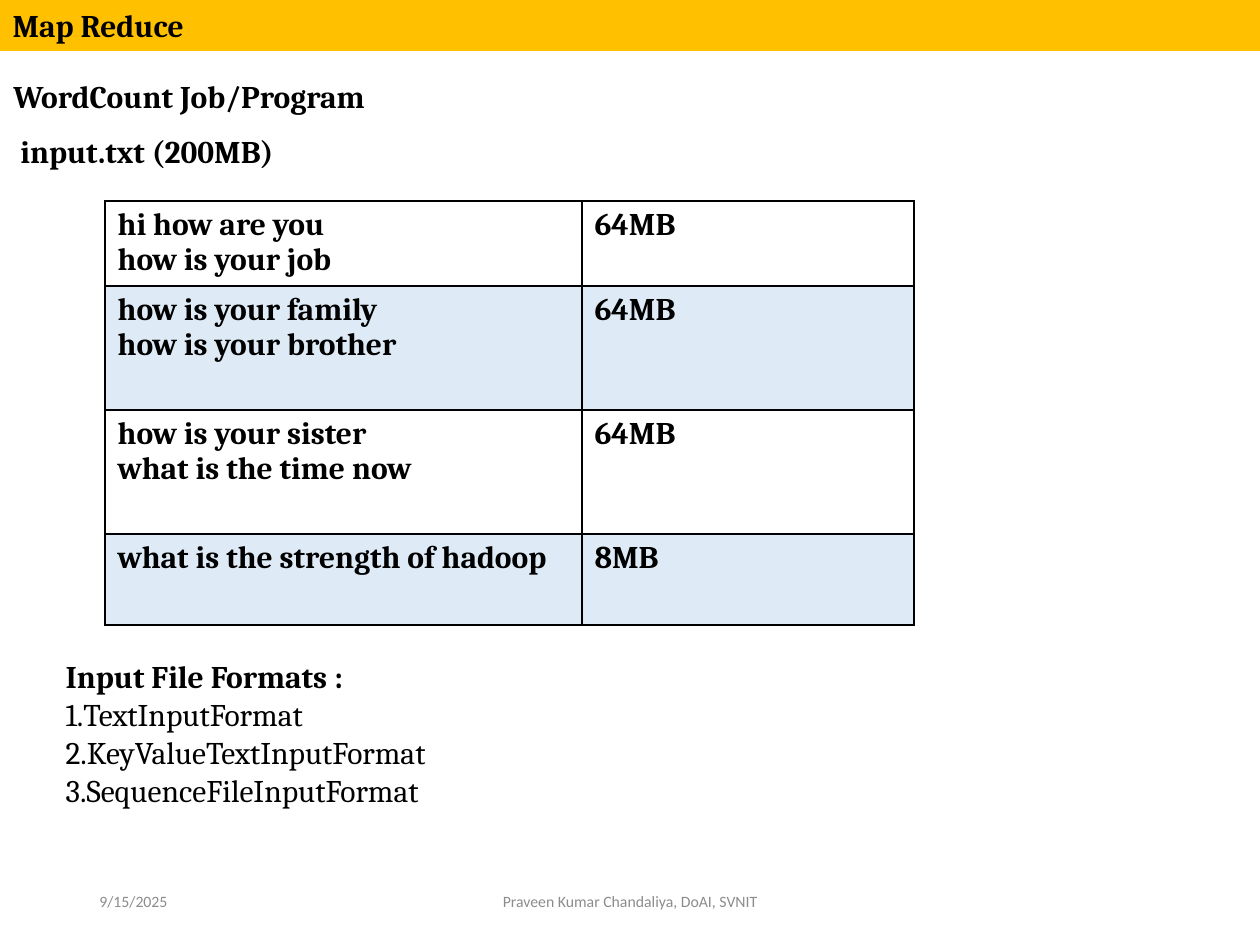
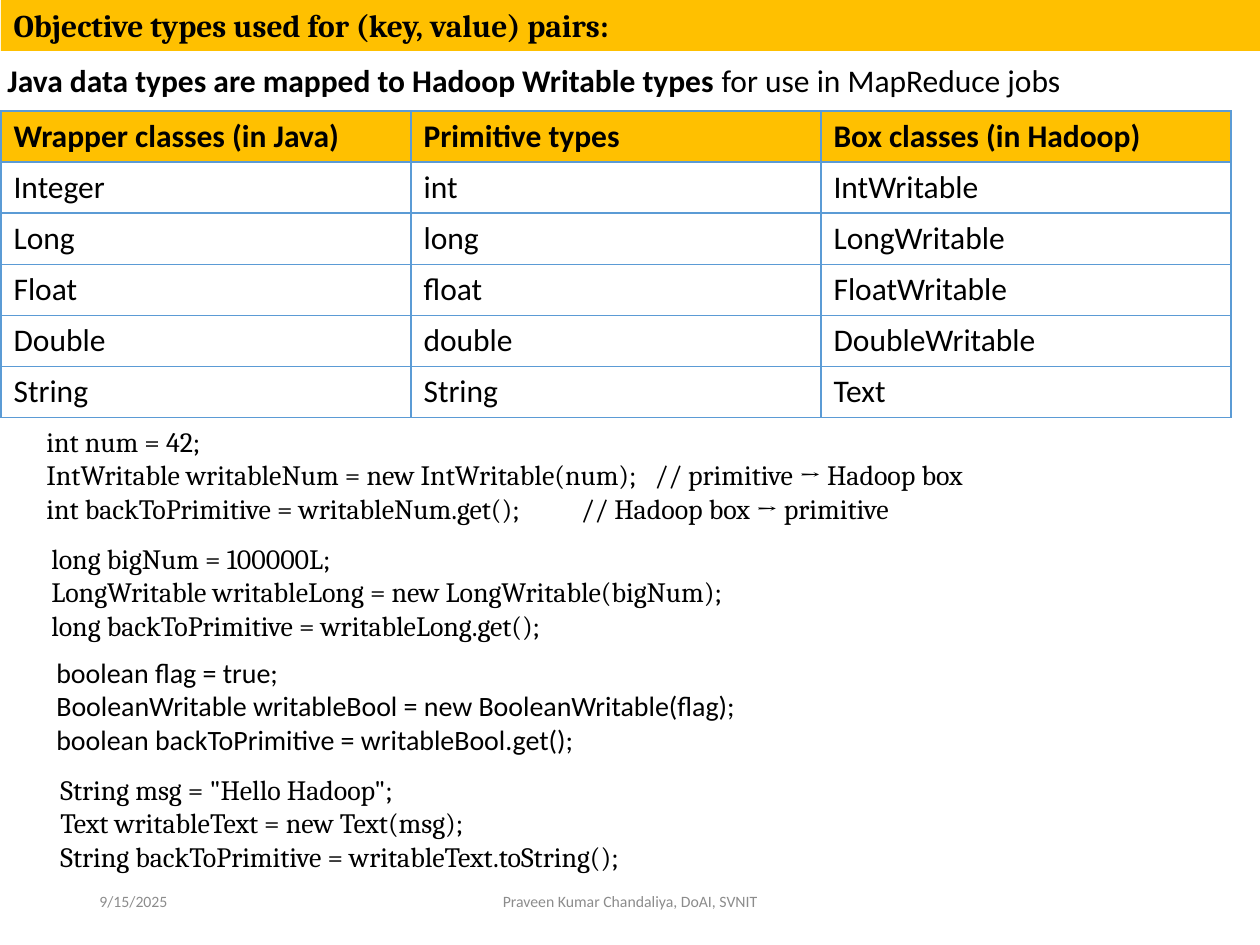
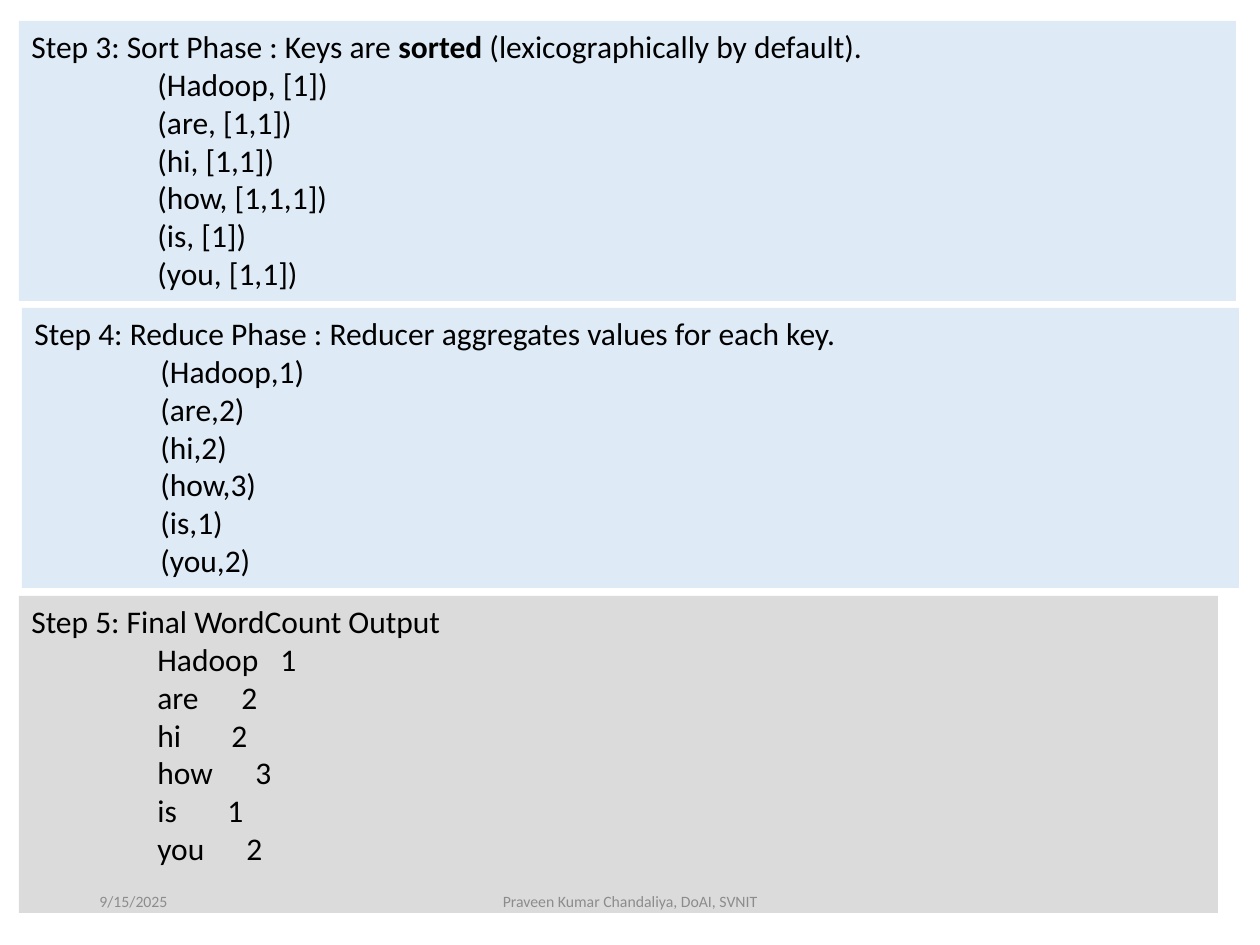
import pptx
import pptx.dml.color
import pptx.enum.shapes
import pptx.enum.text
import pptx.oxml
import pptx.oxml.ns
import pptx.util
from lxml import etree

RGB = pptx.dml.color.RGBColor
BLACK = RGB(0x00, 0x00, 0x00)
AMBER = RGB(0xFF, 0xC0, 0x00)
BLUE = RGB(0x5B, 0x9B, 0xD5)
PALE_BLUE = RGB(0xDE, 0xEB, 0xF7)
PALE_GREY = RGB(0xDB, 0xDB, 0xDB)
FOOTER_GREY = RGB(0x8C, 0x8C, 0x8C)
SERIF, SANS = "Cambria", "Calibri"
TOP = pptx.enum.text.MSO_ANCHOR.TOP
MIDDLE = pptx.enum.text.MSO_ANCHOR.MIDDLE
LEFT = pptx.enum.text.PP_ALIGN.LEFT
CENTER = pptx.enum.text.PP_ALIGN.CENTER
PX_PER_INCH = 126
TAB = 126


def px(n):
    """Turn pixels into EMU."""
    return pptx.util.Emu(n * 914400 // PX_PER_INCH)


def place(sp, box):
    """Move and size a shape to a pixel box."""
    sp.left, sp.top, sp.width, sp.height = map(px, box)


def write(tf, lines, font, size=18, bold=False, color=BLACK, align=LEFT, anchor=TOP):
    """Fill a text frame; a line is a string or a list of (text, bold) runs."""
    tf.word_wrap = True
    tf.auto_size = pptx.enum.text.MSO_AUTO_SIZE.NONE
    tf.vertical_anchor = anchor
    for i, line in enumerate(lines):
        p = tf.paragraphs[0] if i == 0 else tf.add_paragraph()
        p.alignment = align
        for text, is_bold in [(line, bold)] if isinstance(line, str) else line:
            r = p.add_run()
            r.text = text
            r.font.name = font
            r.font.size = pptx.util.Pt(size)
            r.font.bold = is_bold
            r.font.color.rgb = color


def add_text(s, box, lines, font, **style):
    """Add a text box."""
    sp = s.shapes.add_textbox(*map(px, box))
    write(sp.text_frame, lines, font, **style)


def add_title(s, text, left=0):
    """Turn the title placeholder into the amber band."""
    sp = s.shapes.title
    place(sp, (left, 0, 1260, 51))
    sp.fill.solid()
    sp.fill.fore_color.rgb = AMBER
    write(sp.text_frame, [text], SERIF, bold=True)


def add_numbered_list(s, box, heading, items):
    """Fill the body placeholder with a heading and numbered items."""
    sp = s.placeholders[1]
    place(sp, box)
    lines = [[(heading, True)]] + items
    write(sp.text_frame, lines, SERIF)
    for i, p in enumerate(sp.text_frame.paragraphs):
        pPr = p._p.get_or_add_pPr()
        pPr.set("marL", "0")
        pPr.set("indent", "0")
        if i == 0:
            etree.SubElement(pPr, pptx.oxml.ns.qn("a:buNone"))
        else:
            bullet = etree.SubElement(pPr, pptx.oxml.ns.qn("a:buAutoNum"))
            bullet.set("type", "arabicPeriod")
        p.space_before = pptx.util.Pt(0)


def set_borders(cell, color):
    """Draw a one-point line on each side of a cell."""
    tcPr = cell._tc.get_or_add_tcPr()
    for i, side in enumerate(("lnL", "lnR", "lnT", "lnB")):
        ln = pptx.oxml.parse_xml(
            f'<a:{side} {pptx.oxml.ns.nsdecls("a")} w="12700"><a:solidFill>'
            f'<a:srgbClr val="{color}"/></a:solidFill></a:{side}>')
        tcPr.insert(i, ln)


def add_table(s, left, top, widths, heights, rows, fills, border, spacing=1.0, **style):
    """Add a table whose cells are lists of lines, with one fill per row."""
    box = (left, top, sum(widths), sum(heights))
    table = s.shapes.add_table(len(rows), len(widths), *map(px, box)).table
    table.first_row = table.horz_banding = False
    for column, width in zip(table.columns, widths):
        column.width = px(width)
    for i, (row, fill) in enumerate(zip(rows, fills)):
        table.rows[i].height = px(heights[i])
        for j, lines in enumerate(row):
            cell = table.cell(i, j)
            if fill is None:
                cell.fill.background()
            else:
                cell.fill.solid()
                cell.fill.fore_color.rgb = fill
            set_borders(cell, border)
            write_cell(cell, lines, spacing, **style)


def write_cell(cell, lines, spacing, font, bold=False, anchor=TOP):
    """Write the lines of one table cell."""
    write(cell.text_frame, lines, font, bold=bold)
    cell.vertical_anchor = anchor
    for p in cell.text_frame.paragraphs:
        p.line_spacing = spacing


def add_tabs(p, stops):
    """Give a paragraph left tab stops in pixels."""
    tabs = etree.SubElement(p._p.get_or_add_pPr(), pptx.oxml.ns.qn("a:tabLst"))
    for stop in stops:
        tab = etree.SubElement(tabs, pptx.oxml.ns.qn("a:tab"))
        tab.set("pos", str(int(px(stop))))
        tab.set("algn", "l")


def add_step(s, box, fill, heading, items, count_stops=()):
    """Add a filled panel with a step heading and tabbed items."""
    sp = s.shapes.add_shape(pptx.enum.shapes.MSO_SHAPE.RECTANGLE, *map(px, box))
    sp.shadow.inherit = False
    sp.fill.solid()
    sp.fill.fore_color.rgb = fill
    sp.line.fill.background()
    write(sp.text_frame, [heading] + ["\t" + item for item in items], SANS)
    for i, p in enumerate(sp.text_frame.paragraphs[1:]):
        add_tabs(p, [TAB, *count_stops[i:i + 1]])


def add_footer(s):
    """Add the date and the author line."""
    style = dict(size=9, color=FOOTER_GREY, anchor=MIDDLE)
    add_text(s, (87, 876, 284, 50), ["9/15/2025"], SANS, **style)
    add_text(s, (417, 876, 426, 50), ["Praveen Kumar Chandaliya, DoAI, SVNIT"],
             SANS, align=CENTER, **style)


def build_word_count(prs):
    """Build the input file slide."""
    s = prs.slides.add_slide(prs.slide_layouts[1])
    add_title(s, "Map Reduce")
    add_text(s, (1, 71, 389, 51), ["WordCount Job/Program"], SERIF, bold=True)
    add_text(s, (8, 126, 290, 51), ["input.txt (200MB)"], SERIF, bold=True)
    rows = [
        (["hi how are you", "how is your job"], ["64MB"]),
        (["how is your family", "how is your brother"], ["64MB"]),
        (["how is your sister", "what is the time now"], ["64MB"]),
        (["what is the strength of hadoop"], ["8MB"]),
    ]
    add_table(s, 105, 201, [477, 332], [85, 124, 124, 91], rows,
              [None, PALE_BLUE] * 2, BLACK, spacing=0.96, font=SERIF, bold=True)
    add_numbered_list(s, (53, 651, 630, 165), "Input File Formats :",
                      ["TextInputFormat", "KeyValueTextInputFormat",
                       "SequenceFileInputFormat"])
    add_footer(s)


def build_types(prs):
    """Build the Writable types slide."""
    s = prs.slides.add_slide(prs.slide_layouts[5])
    add_title(s, "Objective types used for (key, value) pairs:", left=1)
    add_text(s, (-5, 55, 1207, 51),
             [[("Java data types are mapped to Hadoop Writable types", True),
               (" for use in MapReduce jobs", False)]], SANS)
    header = ("Wrapper classes (in Java)", "Primitive types", "Box classes (in Hadoop)")
    types = [
        ("Integer", "int", "IntWritable"),
        ("Long", "long", "LongWritable"),
        ("Float", "float", "FloatWritable"),
        ("Double", "double", "DoubleWritable"),
        ("String", "String", "Text"),
    ]
    rows = [[[[(text, True)]] for text in header]]
    rows += [[[text] for text in row] for row in types]
    add_table(s, 1, 111, [410] * 3, [51] * 6, rows, [AMBER] + [None] * 5, BLUE,
              font=SANS, anchor=MIDDLE)
    snippets = [
        ((34, 418, 1149, 115), SERIF, [
            "int num = 42;",
            "IntWritable writableNum = new IntWritable(num);   // primitive → Hadoop box",
            "int backToPrimitive = writableNum.get();          // Hadoop box → primitive"]),
        ((39, 535, 1094, 115), SERIF, [
            "long bigNum = 100000L;",
            "LongWritable writableLong = new LongWritable(bigNum);",
            "long backToPrimitive = writableLong.get();"]),
        ((44, 649, 1197, 115), SANS, [
            "boolean flag = true;",
            "BooleanWritable writableBool = new BooleanWritable(flag);",
            "boolean backToPrimitive = writableBool.get();"]),
        ((48, 766, 1212, 115), SERIF, [
            'String msg = "Hello Hadoop";',
            "Text writableText = new Text(msg);",
            "String backToPrimitive = writableText.toString();"]),
    ]
    for box, font, code in snippets:
        add_text(s, box, code, font, size=16)
    add_footer(s)


def build_steps(prs):
    """Build the sort, reduce and output slide."""
    s = prs.slides.add_slide(prs.slide_layouts[6])
    words = ["Hadoop", "are", "hi", "how", "is", "you"]
    counts = [1, 2, 2, 3, 1, 2]
    pairs = list(zip(words, counts))
    add_step(s, (19, 21, 1217, 280), PALE_BLUE,
             [("Step 3: Sort Phase : Keys are ", False), ("sorted", True),
              (" (lexicographically by default).", False)],
             [f"({word}, [{','.join('1' * n)}])" for word, n in pairs])
    add_step(s, (22, 308, 1217, 280), PALE_BLUE,
             "Step 4: Reduce Phase : Reducer aggregates values for each key.",
             [f"({word},{n})" for word, n in pairs])
    add_step(s, (19, 596, 1199, 317), PALE_GREY, "Step 5: Final WordCount Output",
             [f"{word}\t{n}" for word, n in pairs],
             count_stops=[249, 210, 200, 224, 196, 215])
    add_footer(s)


def main():
    """Build the presentation."""
    prs = pptx.Presentation()
    prs.slide_width, prs.slide_height = px(1260), px(945)
    build_word_count(prs)
    build_types(prs)
    build_steps(prs)
    prs.save("out.pptx")


if __name__ == "__main__":
    main()
